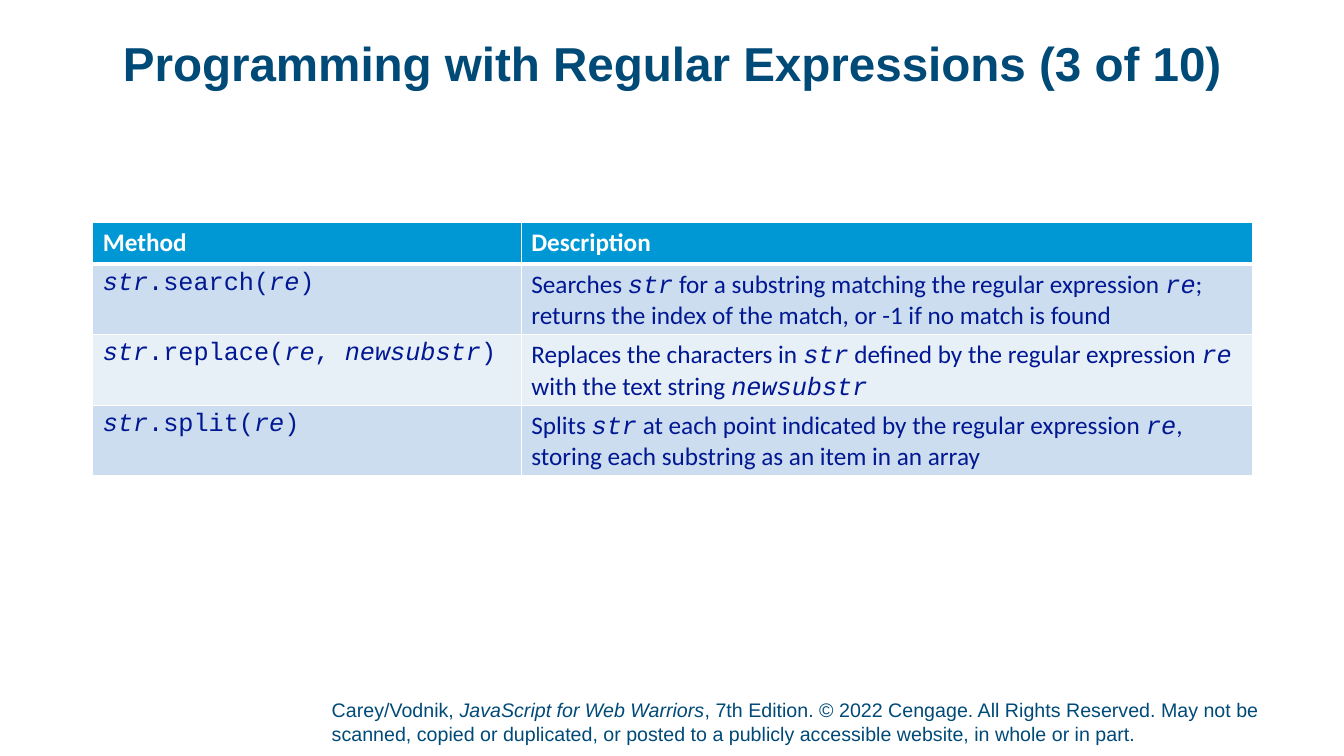
import pptx
import pptx.dml.color
import pptx.enum.text
import pptx.oxml
import pptx.oxml.ns
import pptx.util
from dataclasses import dataclass

TITLE = "Programming with Regular Expressions (3 of 10)"
HEADERS = ("Method", "Description")
METHODS = [
    ("*str*.search(*re*)",
     "Searches *str* for a substring matching the regular expression *re*; "
     "returns the index of the match, or -1 if no match is found"),
    ("*str*.replace(*re*, *newsubstr*)",
     "Replaces the characters in *str* defined by the regular expression *re* "
     "with the text string *newsubstr*"),
    ("*str*.split(*re*)",
     "Splits *str* at each point indicated by the regular expression *re*, "
     "storing each substring as an item in an array"),
]
COPYRIGHT = (
    "Carey/Vodnik, *JavaScript for Web Warriors*, 7th Edition. © 2022 Cengage. "
    "All Rights Reserved. May not be scanned, copied or duplicated, or posted to "
    "a publicly accessible website, in whole or in part."
)


@dataclass(frozen=True)
class Theme:
    heading_font: str = "Arial"
    body_font: str = "Calibri"
    code_font: str = "Courier New"
    navy: str = "004A78"
    ink: str = "011892"
    white: str = "FFFFFF"
    header_fill: str = "0098D4"
    bands: tuple = ("CCDDEF", "E7EFF7")
    title_size: int = 34
    table_size: int = 18
    footer_size: int = 14
    thin_line: int = 1
    thick_line: int = 3


THEME = Theme()
Inches = pptx.util.Inches
Pt = pptx.util.Pt


def rgb(color):
    return pptx.dml.color.RGBColor.from_string(color)


def add_marked_text(paragraph, text, size, color, font, italic_font, bold=False):
    for index, part in enumerate(text.split("*")):
        if not part:
            continue
        italic = index % 2 == 1
        run = paragraph.add_run()
        run.text = part
        run.font.name = italic_font if italic else font
        run.font.size = Pt(size)
        run.font.color.rgb = rgb(color)
        run.font.bold = bold
        run.font.italic = italic


def add_text_box(slide, left, top, width, height, anchor, bottom_inset=0):
    box = slide.shapes.add_textbox(Inches(left), Inches(top), Inches(width), Inches(height))
    frame = box.text_frame
    frame.word_wrap = True
    frame.vertical_anchor = anchor
    frame.margin_left = frame.margin_top = frame.margin_right = 0
    frame.margin_bottom = Inches(bottom_inset)
    return frame.paragraphs[0]


def set_borders(cell, top, bottom):
    properties = cell._tc.get_or_add_tcPr()
    widths = {"lnL": THEME.thin_line, "lnR": THEME.thin_line, "lnT": top, "lnB": bottom}
    for side, width in widths.items():
        properties.append(pptx.oxml.parse_xml(
            f'<a:{side} {pptx.oxml.ns.nsdecls("a")} w="{Pt(width)}"><a:solidFill>'
            f'<a:srgbClr val="{THEME.white}"/></a:solidFill></a:{side}>'))


def add_method_table(slide):
    column_widths = (4.25, 7.25)
    row_heights = [0.41] + [0.7] * len(METHODS)
    table = slide.shapes.add_table(
        len(row_heights), len(column_widths), Inches(0.92), Inches(2.21),
        Inches(sum(column_widths)), Inches(sum(row_heights))).table
    for column, width in zip(table.columns, column_widths):
        column.width = Inches(width)
    for row, height in zip(table.rows, row_heights):
        row.height = Inches(height)

    for row_index, texts in enumerate([HEADERS] + METHODS):
        is_header = row_index == 0
        fill = THEME.header_fill if is_header else THEME.bands[(row_index - 1) % 2]
        color = THEME.white if is_header else THEME.ink
        top = THEME.thick_line if row_index == 1 else THEME.thin_line
        bottom = THEME.thick_line if is_header else THEME.thin_line
        for column_index, text in enumerate(texts):
            cell = table.cell(row_index, column_index)
            set_borders(cell, top, bottom)
            cell.fill.solid()
            cell.fill.fore_color.rgb = rgb(fill)
            is_code = column_index == 0 and not is_header
            font = THEME.code_font if is_code else THEME.body_font
            add_marked_text(cell.text_frame.paragraphs[0], text, THEME.table_size,
                            color, font, THEME.code_font, is_header)


def main():
    presentation = pptx.Presentation()
    presentation.slide_width = Inches(13.33)
    presentation.slide_height = Inches(7.5)
    slide = presentation.slides.add_slide(presentation.slide_layouts[6])
    anchors = pptx.enum.text.MSO_ANCHOR

    footer = add_text_box(slide, 3.29, 6.92, 9.79, 0.52, anchors.BOTTOM, 0.05)
    add_marked_text(footer, COPYRIGHT, THEME.footer_size, THEME.navy,
                    THEME.heading_font, THEME.heading_font)

    title = add_text_box(slide, 0.92, 0.4, 11.5, 0.74, anchors.TOP)
    title.alignment = pptx.enum.text.PP_ALIGN.CENTER
    title.line_spacing = 0.9
    add_marked_text(title, TITLE, THEME.title_size, THEME.navy,
                    THEME.heading_font, THEME.heading_font, bold=True)

    add_method_table(slide)
    presentation.save("out.pptx")


if __name__ == "__main__":
    main()
